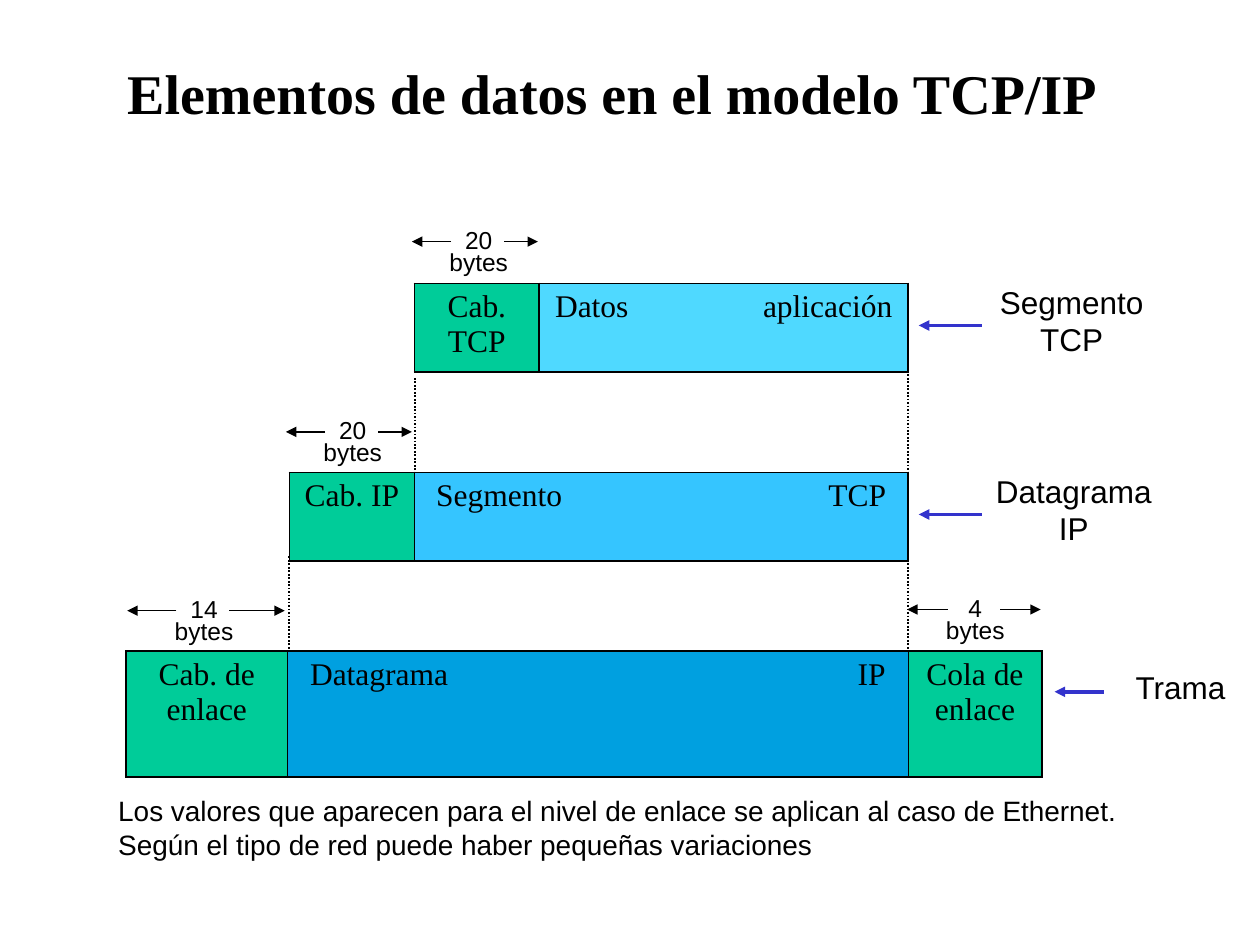
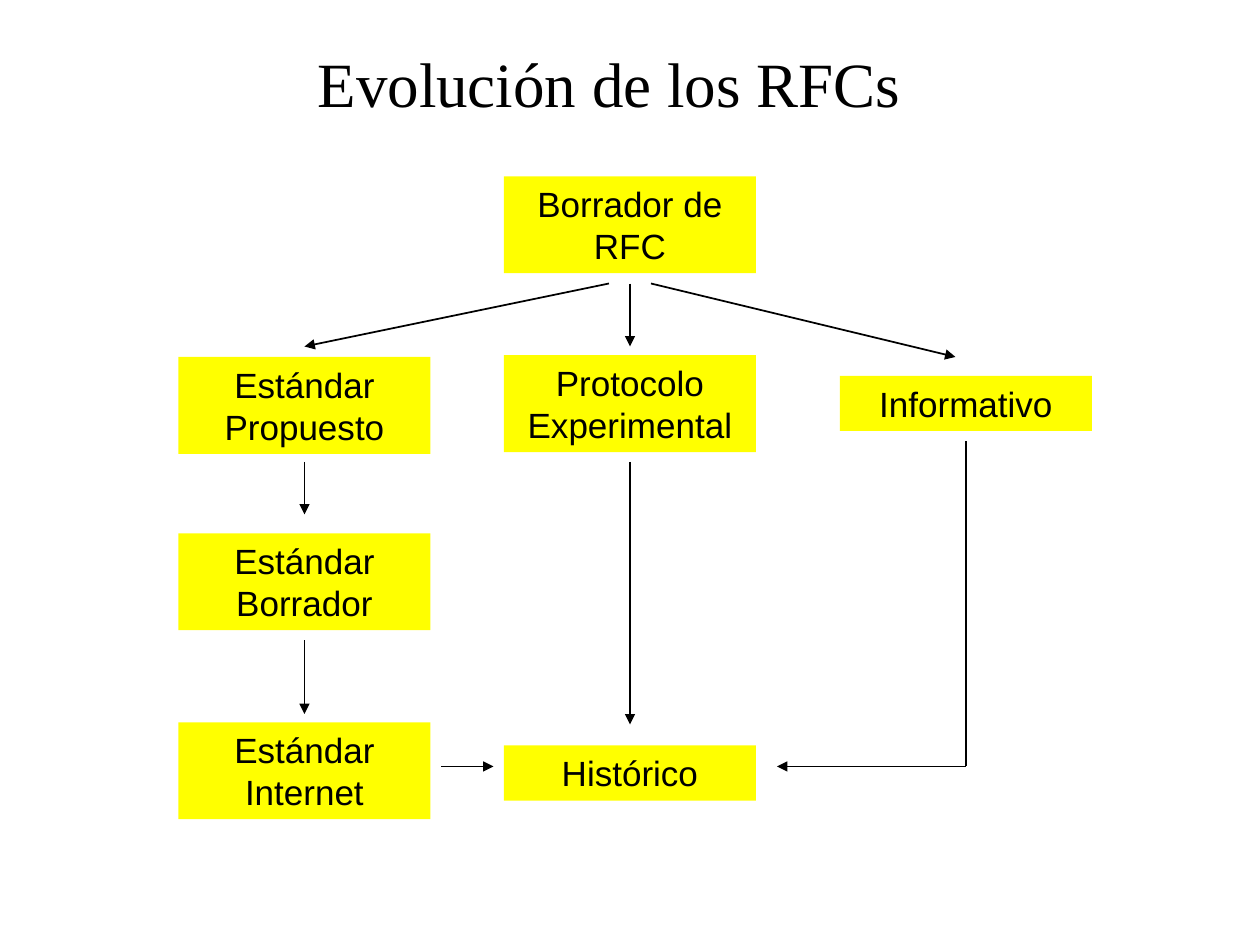
"""Build two slides on TCP/IP data units and the life of an RFC."""
from dataclasses import dataclass

from lxml.etree import SubElement as Sub
from pptx import Presentation
from pptx.dml.color import RGBColor as Rgb
from pptx.enum.dml import MSO_LINE as Dash
from pptx.enum.shapes import MSO_CONNECTOR as Link, MSO_SHAPE as Form
from pptx.enum.text import MSO_ANCHOR as Anchor, MSO_AUTO_SIZE as Auto, PP_ALIGN as Align
from pptx.oxml.ns import qn
from pptx.util import Pt


@dataclass(frozen=True)
class Theme:
    """Colours, fonts and type sizes."""
    ink: str = "000000"
    green: str = "00CC99"
    sky: str = "4FD9FF"
    azure: str = "35C5FF"
    deep: str = "00A0E0"
    blue: str = "3333CC"
    yellow: str = "FFFF00"
    sans: str = "Arial"
    serif: str = "Times New Roman"
    small: float = 14
    note: float = 16
    body: float = 18
    box: float = 20
    head: float = 32
    large: float = 36


T = Theme()


def tint(hue):
    """Turn a hex string into a colour."""
    return Rgb.from_string(hue)


def write(frame, text, font=T.sans, size=T.body, bold=False, align=Align.CENTER,
          before=0, pitch=None):
    """Fill a text frame, one paragraph a line."""
    frame.word_wrap = True
    frame.text = text
    for para in frame.paragraphs:
        para.alignment = align
        para.space_before = Pt(before)
        if pitch:
            para.line_spacing = pitch
        for run in para.runs:
            run.font.name = font
            run.font.size = Pt(size)
            run.font.bold = bold
            run.font.color.rgb = tint(T.ink)


class Deck:
    """Hold the style and the current slide."""

    def __init__(self):
        """Open an empty deck."""
        self.show = Presentation()
        self.show.slide_width, self.show.slide_height = Pt(720), Pt(540)
        self.slide = None

    def page(self, text, left, top, wide, high, **form):
        """Add a slide and place its title."""
        self.slide = self.show.slides.add_slide(self.show.slide_layouts[5])
        title = self.slide.shapes.title
        title.left, title.top, title.width, title.height = map(Pt, (left, top, wide, high))
        title.text_frame.auto_size = Auto.NONE
        title.text_frame.vertical_anchor = Anchor.TOP
        write(title.text_frame, text, font=T.serif, **form)

    def label(self, text, left, top, wide, high, **form):
        """Add free text."""
        box = self.slide.shapes.add_textbox(Pt(left), Pt(top), Pt(wide), Pt(high))
        write(box.text_frame, text, **form)

    def block(self, text, left, top, wide, high):
        """Add a filled box with text."""
        box = self.slide.shapes.add_shape(Form.RECTANGLE, Pt(left), Pt(top), Pt(wide), Pt(high))
        box.shadow.inherit = False
        box.fill.solid()
        box.fill.fore_color.rgb = tint(T.yellow)
        box.line.fill.background()
        box.text_frame.vertical_anchor = Anchor.TOP
        write(box.text_frame, text, size=T.box, before=12.5)

    def line(self, start, end, hue=T.ink, width=1, head=True, dash=None):
        """Draw a straight line or arrow."""
        link = self.slide.shapes.add_connector(Link.STRAIGHT, *map(Pt, (*start, *end)))
        link.line.color.rgb = tint(hue)
        link.line.width = Pt(width)
        if dash:
            link.line.dash_style = dash
        prop = link.element.spPr
        if head:
            Sub(prop.find(qn("a:ln")), qn("a:tailEnd"), type="triangle")
        Sub(prop, qn("a:effectLst"))

    def strip(self, top, high, edges, cells, inner):
        """Add a one-row table with columns between the edges."""
        grid = self.slide.shapes.add_table(
            1, len(cells), Pt(edges[0]), Pt(top), Pt(edges[-1] - edges[0]), Pt(high))
        table = grid.table
        table.first_row = table.horz_banding = False
        table.rows[0].height = Pt(high)
        nodes = list(grid.element.iter(qn("a:tc")))
        last = len(cells) - 1
        for col, (text, hue, inset) in enumerate(cells):
            wide = edges[col + 1] - edges[col]
            table.columns[col].width = Pt(wide)
            cell = table.cell(0, col)
            cell.fill.solid()
            cell.fill.fore_color.rgb = tint(hue)
            split = "\t" in text
            write(cell.text_frame, text, font=T.serif, before=4.5,
                  align=Align.LEFT if split else Align.CENTER)
            if split:
                cell.margin_left, cell.margin_right = Pt(inset), Pt(0)
                para = next(nodes[col].iter(qn("a:p")))
                tabs = Sub(para.get_or_add_pPr(), qn("a:tabLst"))
                Sub(tabs, qn("a:tab"), pos=str(Pt(wide - 2 * inset)), algn="r")
            self.edge(nodes[col].get_or_add_tcPr(), L=inner if col else 1.08,
                      R=inner if col < last else 1.08, T=1.08, B=1.08)

    def edge(self, prop, **sides):
        """Draw the borders of one cell."""
        for spot, (side, width) in enumerate(sides.items()):
            rule = Sub(prop, qn("a:ln" + side), w=str(Pt(width)))
            Sub(Sub(rule, qn("a:solidFill")), qn("a:srgbClr"), val=T.ink)
            prop.insert(spot, rule)

    def span(self, count, mid, top, left, right):
        """Mark a width in bytes with two arrows."""
        self.label(f"{count}\nbytes", mid - 28, top, 56, 32.4, size=T.small, pitch=0.75)
        high = top + 9.2
        self.line((mid - 15.8, high), (left, high), width=0.75)
        self.line((mid + 14.4, high), (right, high), width=0.75)


def units(deck):
    """Show how each layer wraps the data."""
    deck.page("Elementos de datos en el modelo TCP/IP", 65.5, 30, 600, 46,
              size=T.head, bold=True, align=Align.LEFT)
    rows = (
        (372.2, 72, (72, 164.4, 519, 595.4), 0.45,
         (("Cab. de enlace", T.green, 0), ("Datagrama\tIP", T.deep, 12.8),
          ("Cola de enlace", T.green, 0))),
        (270, 50.4, (165.4, 236.8, 519), 1.08,
         (("Cab. IP", T.green, 0), ("Segmento\tTCP", T.azure, 12.5))),
        (162, 50.4, (236.8, 308.2, 519), 1.08,
         (("Cab. TCP", T.green, 0), ("Datos\taplicación", T.sky, 9))),
    )
    for top, high, edges, inner, cells in rows:
        deck.strip(top, high, edges, cells, inner)
    wide = 120
    tags = (
        ("Segmento\nTCP", 612.4, 158, 50.4, 561, 525, 186),
        ("Datagrama\nIP", 613.6, 266, 50.4, 561, 525, 294),
        ("Trama", 674.6, 378, 28.8, 630.7, 602.6, 395.3),
    )
    for text, mid, top, tall, start, end, high in tags:
        room = min(wide, 2 * (720 - mid))
        deck.label(text, mid - room / 2, top, room, tall)
        deck.line((start, high), (end, high), hue=T.blue, width=2)
    for x, top, end in ((165, 318, 372), (519, 318, 372), (237, 216, 270), (519, 210, 270)):
        deck.line((x, top), (x, end), head=False, dash=Dash.ROUND_DOT)
    for mark in ((20, 273.6, 128.9, 235.4, 307.4), (20, 201.6, 237.6, 163.4, 235.4),
                 (14, 116.6, 339.8, 72.7, 162.7), (4, 557.3, 339.1, 518.4, 594.7)):
        deck.span(*mark)
    deck.label("Los valores que aparecen para el nivel de enlace se aplican al caso de Ethernet.\n"
               "Según el tipo de red puede haber pequeñas variaciones",
               60.5, 450, 620, 46, size=T.note, align=Align.LEFT)


def stages(deck):
    """Show the path of an RFC."""
    deck.page("Evolución de los RFCs", 148, 21.6, 400, 50.4, size=T.large)
    left, mid, right = 102, 288, 480
    wide, tall, low = 144, 55.4, 31.5
    for text, x, top, high in (
            ("Borrador de RFC", mid, 100.8, tall),
            ("Estándar Propuesto", left, 204, tall),
            ("Protocolo Experimental", mid, 203, tall),
            ("Informativo", right, 214.8, low),
            ("Estándar Borrador", left, 304.8, tall),
            ("Estándar Internet", left, 412.8, tall),
            ("Histórico", mid, 426, low)):
        deck.block(text, x, top, wide, high)
    west, core, east = (x + wide / 2 for x in (left, mid, right))
    base = 438
    for start, end in (
            ((core, 162), (core, 198)),
            ((core - 12, 162), (west, 198)),
            ((core + 12, 162), (east - 6, 204)),
            ((west, 264), (west, 294)),
            ((west, 366), (west, 408)),
            ((252, base), (282, base)),
            ((core, 264), (core, 414)),
            ((east, base), (444, base))):
        deck.line(start, end)
    deck.line((east, 252), (east, base), head=False)


def main():
    """Build and save the deck."""
    deck = Deck()
    units(deck)
    stages(deck)
    deck.show.save("out.pptx")


if __name__ == "__main__":
    main()
